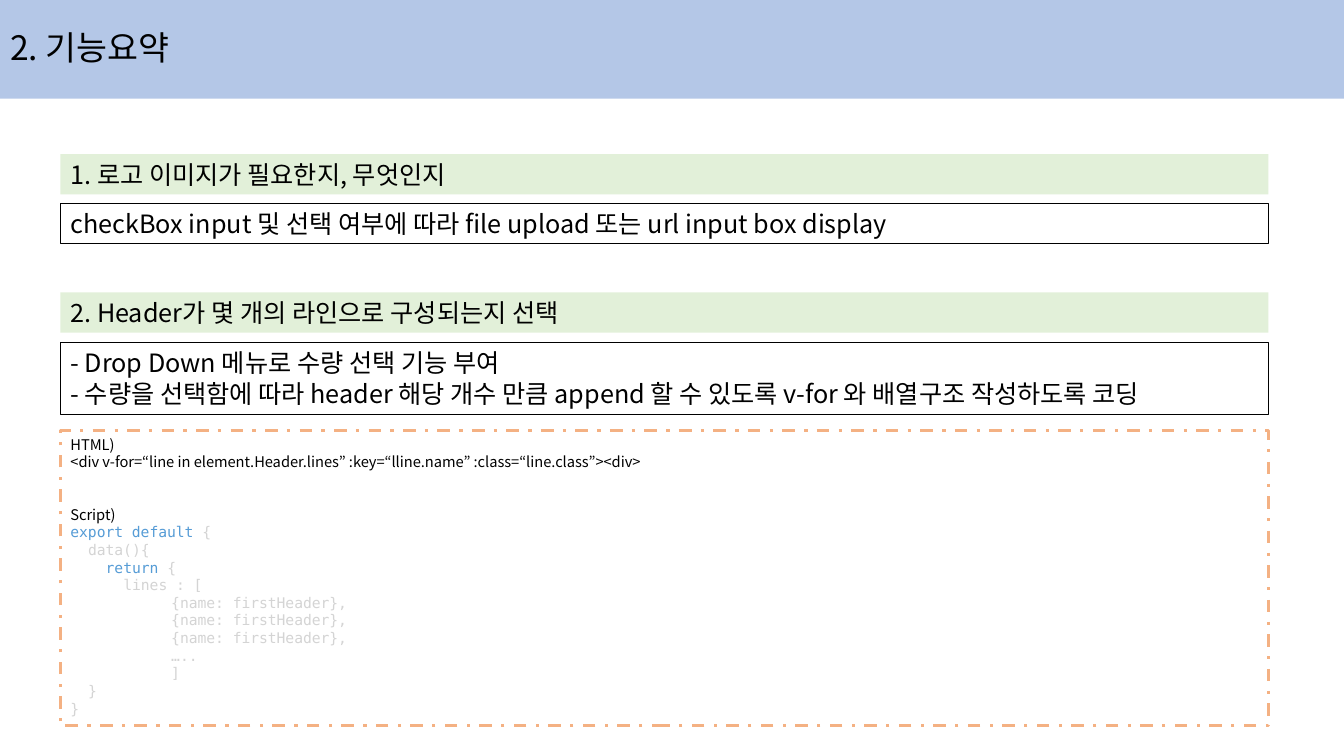
import pptx
import pptx.util
import pptx.dml.color
import pptx.enum.dml
import pptx.enum.text
from dataclasses import dataclass
from lxml import etree

Inches, Pt = pptx.util.Inches, pptx.util.Pt


# Theme
@dataclass(frozen=True)
class Theme:
    font: str = "Noto Sans CJK KR"
    mono: str = "DejaVu Sans Mono"
    title_size: float = 24
    body_size: float = 18
    code_size: float = 10.5
    ink: str = "000000"
    banner: str = "B4C7E7"
    heading: str = "E2F0D9"
    code_border: str = "F4B183"
    keyword: str = "569CD6"
    code: str = "D4D4D4"


THEME = Theme()

# Content
TITLE = "2. 기능요약"
SECTIONS = [
    # heading, its top, details, their top and height
    ("1. 로고 이미지가 필요한지, 무엇인지", 1.53,
     ["checkBox input 및 선택 여부에 따라 file upload 또는 url input box display "],
     2.02, 0.4),
    ("2. Header가 몇 개의 라인으로 구성되는지 선택", 2.9,
     ["- Drop Down 메뉴로 수량 선택 기능 부여",
      "- 수량을 선택함에 따라 header 해당 개수 만큼 append 할 수 있도록 "
      "v-for 와 배열구조 작성하도록 코딩"],
     3.4, 0.71),
]
MARKUP = [
    "HTML)",
    "<div v-for=“line in element.Header.lines” :key=“lline.name” "
    ":class=“line.class”><div>",
    "Script)",
]
ITEM_INDENT = Inches(1)
LEVEL_INDENT = Pt(12.6)
SCRIPT = [
    # indent, keyword, remaining code
    (0, "export default", " {"),
    (LEVEL_INDENT, "", "data(){"),
    (2 * LEVEL_INDENT, "return", " {"),
    (3 * LEVEL_INDENT, "", "lines : ["),
    *[(ITEM_INDENT, "", "{name: firstHeader},")] * 3,
    (ITEM_INDENT, "", "….."),
    (ITEM_INDENT, "", "]"),
    (LEVEL_INDENT, "", "}"),
    (0, "", "}"),
]

# Layout
SLIDE_WIDTH, SLIDE_HEIGHT = Inches(13.33), Inches(7.5)
LEFT, WIDTH = 0.6, 11.98
HEADING_HEIGHT = 0.4
CODE_TOP, CODE_HEIGHT = 4.27, 2.93


def rgb(value):
    return pptx.dml.color.RGBColor.from_string(value)


def style_span(span, size, color=THEME.ink, font=THEME.font):
    span.font.size = Pt(size)
    span.font.name = font
    span.font.color.rgb = rgb(color)
    # East Asian glyphs take their own typeface
    east_asian = etree.SubElement(span.font._element, pptx.oxml.ns.qn("a:ea"))
    east_asian.set("typeface", font)


def add_box(page, top, height, lines, size, fill=None, border=None, weight=0.75):
    box = page.shapes.add_textbox(
        Inches(LEFT), Inches(top), Inches(WIDTH), Inches(height))
    if fill:
        box.fill.solid()
        box.fill.fore_color.rgb = rgb(fill)
    if border:
        box.line.color.rgb = rgb(border)
        box.line.width = Pt(weight)
    frame = box.text_frame
    frame.word_wrap = True
    frame.text = "\n".join(lines)
    for para in frame.paragraphs:
        for span in para.runs:
            style_span(span, size)
    return box


deck = pptx.Presentation()
deck.slide_width, deck.slide_height = SLIDE_WIDTH, SLIDE_HEIGHT
page = deck.slides.add_slide(deck.slide_layouts.get_by_name("Title Only"))

# Title banner
title = page.shapes.title
title.left, title.top = 0, 0
title.width, title.height = SLIDE_WIDTH, Inches(0.98)
title.fill.solid()
title.fill.fore_color.rgb = rgb(THEME.banner)
title.text_frame.text = TITLE
title.text_frame.auto_size = pptx.enum.text.MSO_AUTO_SIZE.NONE
title.text_frame.vertical_anchor = pptx.enum.text.MSO_ANCHOR.MIDDLE
title_para = title.text_frame.paragraphs[0]
title_para.alignment = pptx.enum.text.PP_ALIGN.LEFT
title_para.line_spacing = 0.9
style_span(title_para.runs[0], THEME.title_size)

# Headings and details
for heading, heading_top, details, detail_top, detail_height in SECTIONS:
    add_box(page, heading_top, HEADING_HEIGHT, [heading], THEME.body_size,
            fill=THEME.heading)
    add_box(page, detail_top, detail_height, details, THEME.body_size,
            border=THEME.ink)

# Code sample
code_box = add_box(page, CODE_TOP, CODE_HEIGHT, MARKUP, THEME.code_size,
                   border=THEME.code_border, weight=2.25)
code_box.line.dash_style = pptx.enum.dml.MSO_LINE.DASH_DOT
code_box.text_frame.paragraphs[-1].space_before = Pt(25)
for indent, keyword, code in SCRIPT:
    para = code_box.text_frame.add_paragraph()
    para._p.get_or_add_pPr().set("marL", str(int(indent)))
    for text, color in ((keyword, THEME.keyword), (code, THEME.code)):
        if text:
            span = para.add_run()
            span.text = text
            style_span(span, THEME.code_size, color, THEME.mono)

deck.save("out.pptx")
